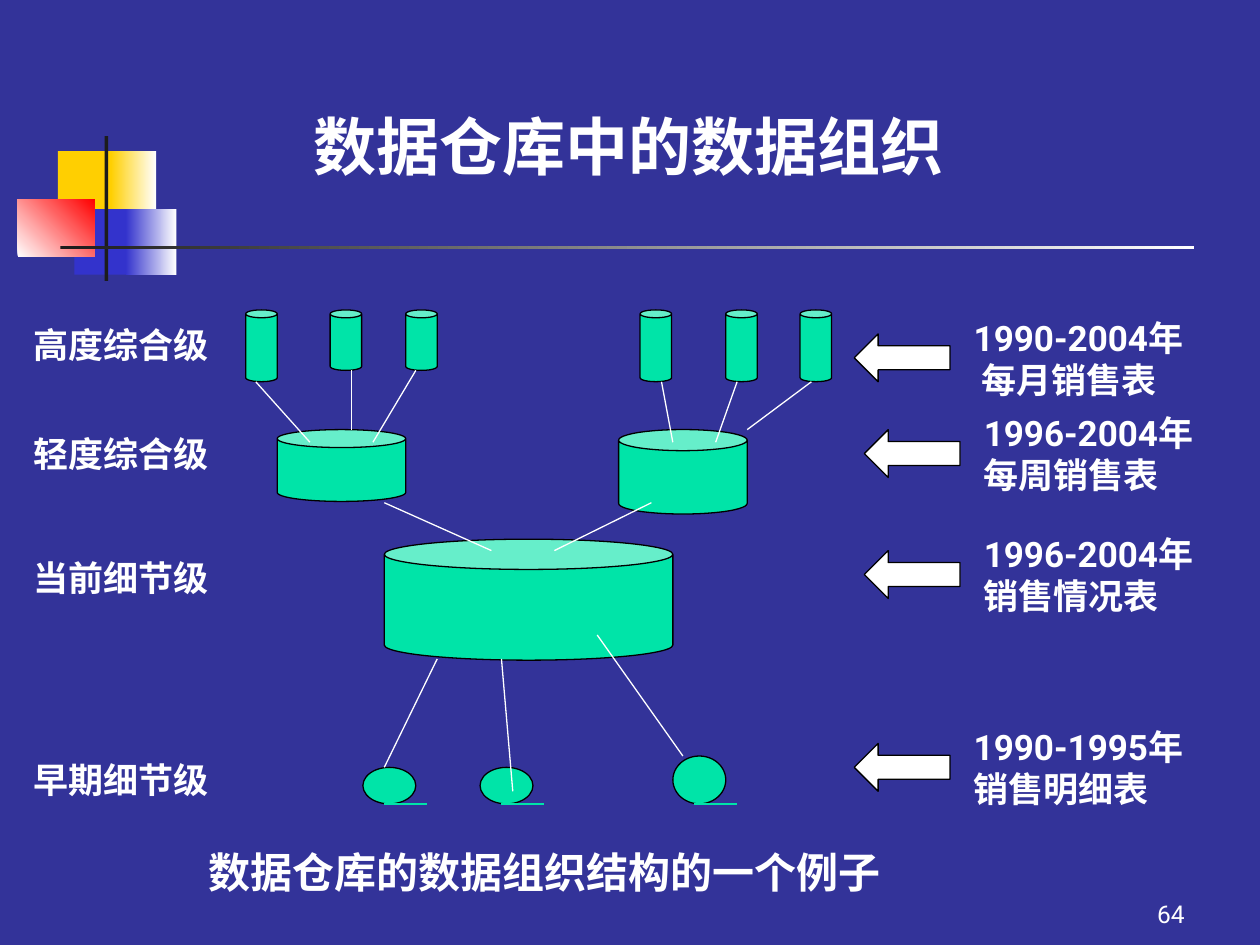
from dataclasses import dataclass
from typing import NamedTuple, Optional

import pptx
import pptx.dml.color
import pptx.enum.shapes
import pptx.enum.text
import pptx.oxml.ns
import pptx.util
from lxml import etree

Inches = pptx.util.Inches
Pt = pptx.util.Pt
MSO = pptx.enum.shapes.MSO_SHAPE
ALIGN = pptx.enum.text.PP_ALIGN
ANCHOR = pptx.enum.text.MSO_ANCHOR


@dataclass(frozen=True)
class Theme:
    background: str = "333399"
    text: str = "FFFFFF"
    store: str = "00E4A8"
    outline: str = "000000"
    yellow: str = "FFCF01"
    blue: str = "3333CC"
    red: str = "FF0000"
    dark: str = "1C1C1C"
    font: str = "Roboto"
    title_font: str = "Times New Roman"
    title_size: int = 36
    caption_size: int = 24
    label_size: int = 20
    number_size: int = 14
    line_width: float = 0.75


class Box(NamedTuple):
    left: float
    top: float
    width: float
    height: float


class Bar(NamedTuple):
    box: Box
    color: str
    end_color: Optional[str] = None
    angle: int = 0


class Link(NamedTuple):
    x1: float
    y1: float
    x2: float
    y2: float
    color: str


class Level(NamedTuple):
    name: str
    label_top: float
    arrow_left: float
    arrow_top: float
    note_left: float
    years: str
    table: str
    indent: float = 0


THEME = Theme()
WHITE = THEME.text


def rgb(color: str) -> pptx.dml.color.RGBColor:
    return pptx.dml.color.RGBColor.from_string(color)


def add_shape(slide, kind, box: Box, color: str, outline: Optional[str] = None):
    sp = slide.shapes.add_shape(kind, *map(Inches, box))
    sp.shadow.inherit = False
    sp.fill.solid()
    sp.fill.fore_color.rgb = rgb(color)
    if outline:
        sp.line.color.rgb = rgb(outline)
        sp.line.width = Pt(THEME.line_width)
    else:
        sp.line.fill.background()
    return sp


def add_bar(slide, bar: Bar) -> None:
    sp = add_shape(slide, MSO.RECTANGLE, bar.box, bar.color)
    if bar.end_color:
        sp.fill.gradient()
        sp.fill.gradient_angle = bar.angle
        for stop, color in zip(sp.fill.gradient_stops, (bar.color, bar.end_color)):
            stop.color.rgb = rgb(color)


def add_link(slide, link: Link) -> None:
    ends = map(Inches, link[:4])
    cxn = slide.shapes.add_connector(pptx.enum.shapes.MSO_CONNECTOR.STRAIGHT, *ends)
    cxn.line.color.rgb = rgb(link.color)
    cxn.line.width = Pt(THEME.line_width)
    etree.SubElement(cxn._element.spPr, pptx.oxml.ns.qn("a:effectLst"))


def add_run(p, text: str, size: int, font: str = THEME.font, bold: bool = True) -> None:
    r = p.add_run()
    r.text = text
    r.font.name = font
    r.font.size = Pt(size)
    r.font.bold = bold
    r.font.color.rgb = rgb(WHITE)


def add_text(slide, box: Box, lines: list[str], size: int, bold: bool = True):
    tf = slide.shapes.add_textbox(*map(Inches, box)).text_frame
    tf.word_wrap = True
    for i, line in enumerate(lines):
        p = tf.add_paragraph() if i else tf.paragraphs[0]
        add_run(p, line, size, bold=bold)
    return tf


def add_title(slide, box: Box, text: str) -> None:
    sp = slide.shapes.title
    sp.left, sp.top, sp.width, sp.height = map(Inches, box)
    tf = sp.text_frame
    tf.word_wrap = True
    tf.vertical_anchor = ANCHOR.TOP
    tf.margin_top = tf.margin_bottom = Inches(0.18)
    p = tf.paragraphs[0]
    p.alignment = ALIGN.CENTER
    add_run(p, text, THEME.title_size, THEME.title_font)


def add_level(slide, level: Level) -> None:
    add_text(slide, Box(0.17, level.label_top, 1.9, 0.44), [level.name], THEME.label_size)
    arrow = Box(level.arrow_left, level.arrow_top, 0.76, 0.38)
    add_shape(slide, MSO.LEFT_ARROW, arrow, WHITE, THEME.outline)
    note = Box(level.note_left, level.arrow_top - 0.19, 2.2, 0.8)
    tf = add_text(slide, note, [level.years, level.table], THEME.label_size)
    if level.indent:
        pPr = tf.paragraphs[1]._p.get_or_add_pPr()
        pPr.set("marL", str(Inches(level.indent)))


# Corner ornament and rule under the title
BARS = [
    Bar(Box(0.46, 1.2, 0.48, 0.52), THEME.yellow),
    Bar(Box(0.88, 1.2, 0.36, 0.52), THEME.yellow, WHITE),
    Bar(Box(0.59, 1.66, 0.46, 0.52), THEME.blue),
    Bar(Box(1, 1.66, 0.4, 0.52), THEME.blue, WHITE),
    Bar(Box(0.14, 1.58, 0.61, 0.46), WHITE, THEME.red, 45),
    Bar(Box(0.83, 1.08, 0.03, 1.15), THEME.dark),
    Bar(Box(0.48, 1.95, 9, 0.03), THEME.dark, WHITE),
]

LEVELS = [
    Level("高度综合级", 2.52, 6.78, 2.65, 7.63, "1990-2004年", "每月销售表", 0.06),
    Level("轻度综合级", 3.38, 6.86, 3.41, 7.71, "1996-2004年", "每周销售表"),
    Level("当前细节级", 4.37, 6.86, 4.37, 7.71, "1996-2004年", "销售情况表"),
    Level("早期细节级", 5.97, 6.78, 5.9, 7.63, "1990-1995年", "销售明细表"),
]

# Data stores: early detail, current detail, light and high summaries
DISKS = [Box(2.88, 6.09, 0.42, 0.29), Box(3.81, 6.09, 0.42, 0.29), Box(5.34, 6, 0.42, 0.38)]
SMALL_CANS = [(1.95, 0.57), (2.62, 0.48), (3.22, 0.48), (5.08, 0.57), (5.76, 0.57), (6.35, 0.57)]
CANS = [
    Box(3.05, 4.28, 2.29, 0.96),
    Box(2.2, 3.41, 1.02, 0.57),
    Box(4.91, 3.41, 1.02, 0.67),
] + [Box(left, 2.46, 0.25, height) for left, height in SMALL_CANS]

LINKS = [Link(*ends, WHITE) for ends in (
    (5.42, 6, 4.74, 5.04), (4.07, 6.28, 3.98, 5.23), (3.47, 5.23, 3.05, 6.09),
    (5.17, 3.99, 4.4, 4.37), (3.05, 3.99, 3.9, 4.37),
    (2.03, 3.03, 2.46, 3.51), (2.79, 2.94, 2.79, 3.41), (3.3, 2.94, 2.96, 3.51),
    (5.25, 3.03, 5.34, 3.51), (5.85, 3.03, 5.68, 3.51), (6.44, 3.03, 5.93, 3.41),
)] + [Link(d.left + 0.17, 6.38, d.left + 0.51, 6.38, THEME.store) for d in DISKS]


def main() -> None:
    prs = pptx.Presentation()
    prs.slide_width, prs.slide_height = Inches(10), Inches(7.5)
    slide = prs.slides.add_slide(prs.slide_layouts[5])
    slide.background.fill.solid()
    slide.background.fill.fore_color.rgb = rgb(THEME.background)

    for bar in BARS:
        add_bar(slide, bar)
    add_title(slide, Box(1.57, 0.67, 6.83, 1.16), "数据仓库中的数据组织")

    # Level names, arrows and notes
    for level in LEVELS:
        add_level(slide, level)

    # Stores and the links between them
    for kind, boxes in ((MSO.OVAL, DISKS), (MSO.CAN, CANS)):
        for box in boxes:
            add_shape(slide, kind, box, THEME.store, THEME.outline)
    for link in LINKS:
        add_link(slide, link)

    # Caption and page number
    add_text(slide, Box(1.56, 6.67, 5.8, 0.5), ["数据仓库的数据组织结构的一个例子"], THEME.caption_size)
    tf = add_text(slide, Box(7.42, 6.92, 2.08, 0.5), ["64"], THEME.number_size, bold=False)
    tf.vertical_anchor = ANCHOR.BOTTOM
    tf.paragraphs[0].alignment = ALIGN.RIGHT

    prs.save("out.pptx")


if __name__ == "__main__":
    main()
